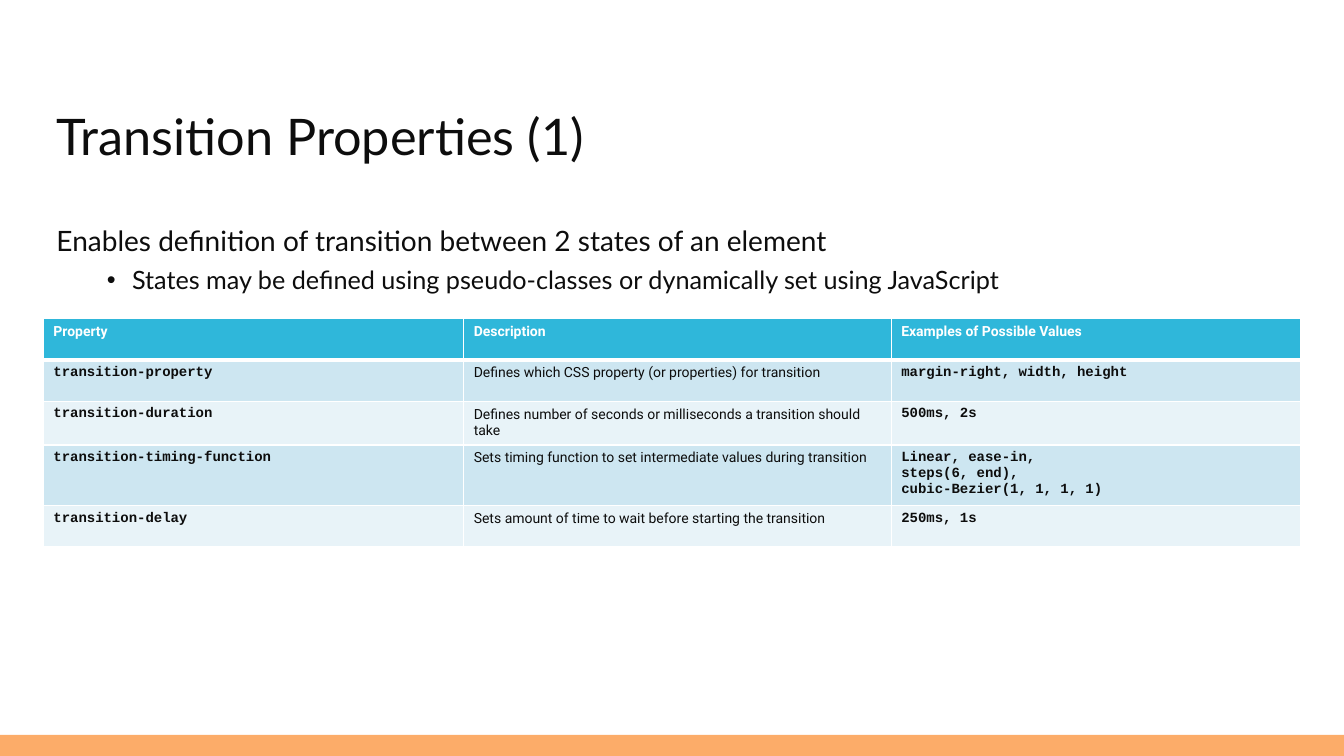
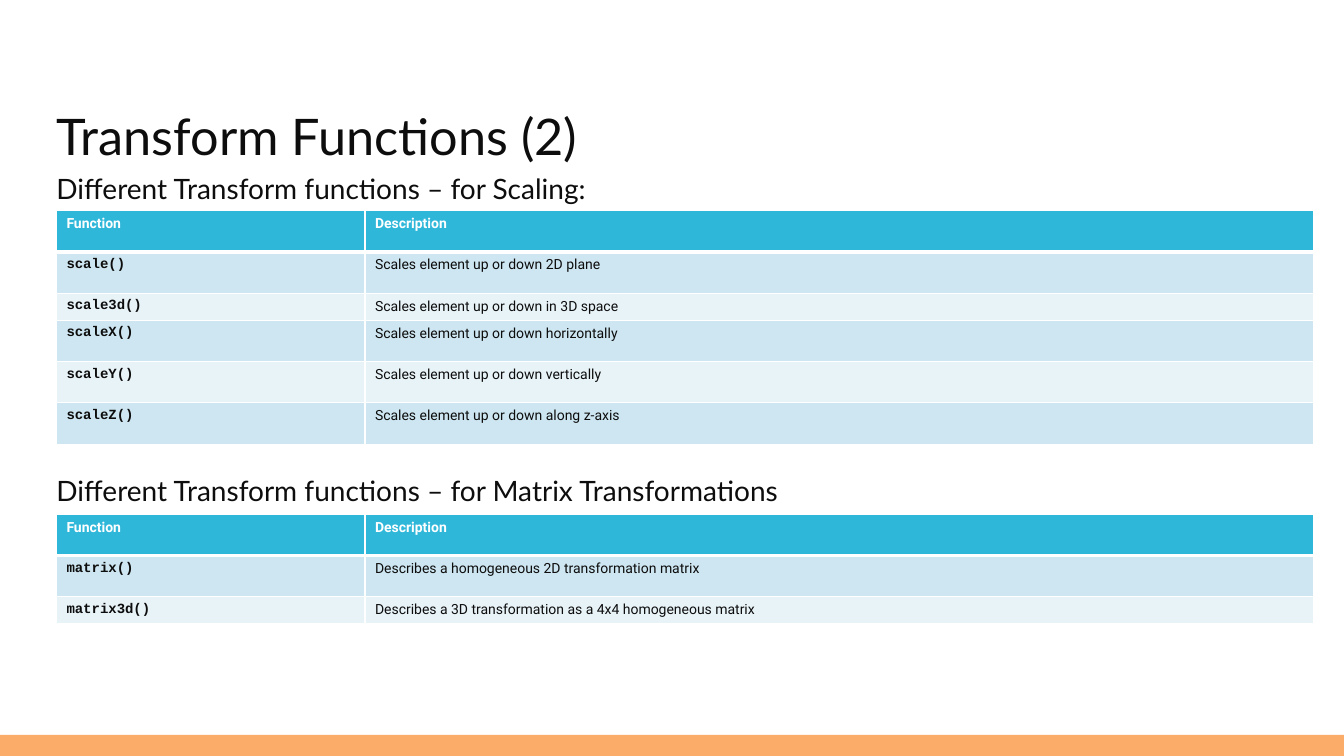
from dataclasses import dataclass

from lxml import etree
from pptx import Presentation
from pptx.dml.color import RGBColor
from pptx.enum.shapes import MSO_SHAPE
from pptx.enum.text import MSO_ANCHOR
from pptx.oxml.ns import qn
from pptx.util import Inches, Pt

RECTANGLE = MSO_SHAPE.RECTANGLE
TOP = MSO_ANCHOR.TOP


@dataclass(frozen=True)
class Theme:
    ink: str = "0D0D0D"
    paper: str = "FFFFFF"
    band: str = "FCAC69"
    header: str = "2FB7DA"
    stripes: tuple = ("CDE6F1", "E8F3F8")
    text_font: str = "Lato"
    table_font: str = "Roboto"
    code_font: str = "Courier New"
    title_size: int = 36
    heading_size: int = 20
    bullet_size: int = 18
    table_size: int = 10
    thin: int = 1
    thick: int = 3


THEME = Theme()
WIDTH, HEIGHT = 13.33, 7.5
MARGIN = 0.56
TEXT_WIDTH = WIDTH - 2 * MARGIN
TITLE_TOP, TITLE_HEIGHT = 1.06, 0.79
BODY_HEIGHT = 4.73
BAND_HEIGHT = 0.21
TABLE_WIDTH = 12.47
ROW, SHORT_ROW = 0.41, 0.2

PROPERTY_ROWS = [
    ("Property", "Description", "Examples of Possible Values"),
    ("transition-property",
     "Defines which CSS property (or properties) for transition",
     "margin-right, width, height"),
    ("transition-duration",
     "Defines number of seconds or milliseconds a transition should take",
     "500ms, 2s"),
    ("transition-timing-function",
     "Sets timing function to set intermediate values during transition",
     "Linear, ease-in, \vsteps(6, end),\ncubic-Bezier(1, 1, 1, 1)"),
    ("transition-delay",
     "Sets amount of time to wait before starting the transition",
     "250ms, 1s"),
]
SCALING_ROWS = [
    ("Function", "Description"),
    ("scale()", "Scales element up or down 2D plane"),
    ("scale3d()", "Scales element up or down in 3D space"),
    ("scaleX()", "Scales element up or down horizontally"),
    ("scaleY()", "Scales element up or down vertically"),
    ("scaleZ()", "Scales element up or down along z-axis"),
]
MATRIX_ROWS = [
    ("Function", "Description"),
    ("matrix()", "Describes a homogeneous 2D transformation matrix"),
    ("matrix3d()", "Describes a 3D transformation as a 4x4 homogeneous matrix"),
]
PROPERTY_COLUMNS = (4.17, 4.24, 4.06)
FUNCTION_COLUMNS = (3.06, 9.41)


def apply(target, values):
    for name, value in values.items():
        setattr(target, name, value)


def style_font(font, color, **values):
    apply(font, values)
    font.color.rgb = RGBColor.from_string(color)


def add_bullet(para, left, hanging):
    properties = para._p.get_or_add_pPr()
    properties.set("marL", str(Inches(left)))
    properties.set("indent", str(-Inches(hanging)))
    etree.SubElement(properties, qn("a:buFont")).set("typeface", "Arial")
    etree.SubElement(properties, qn("a:buChar")).set("char", "•")


def add_text(page, top, height, lines):
    """Write (text, size, space before, bulleted) lines in a full-width box."""
    box = page.shapes.add_textbox(*map(Inches, (MARGIN, top, TEXT_WIDTH, height)))
    frame = box.text_frame
    apply(frame, {"word_wrap": True, "vertical_anchor": TOP,
                  "margin_left": 0, "margin_right": 0})
    frame.text = "\n".join(line[0] for line in lines)
    for para, (_, size, gap, bulleted) in zip(frame.paragraphs, lines):
        if gap:
            para.space_before = Pt(gap)
        if bulleted:
            add_bullet(para, 0.75, 0.25)
        for span in para.runs:
            style_font(span.font, THEME.ink, name=THEME.text_font, size=Pt(size))
    return frame


def add_page(deck, title, body_top, body):
    page = deck.slides.add_slide(deck.slide_layouts[6])
    band = page.shapes.add_shape(
        RECTANGLE, *map(Inches, (0, HEIGHT - BAND_HEIGHT, WIDTH, BAND_HEIGHT)))
    band.shadow.inherit = False
    band.fill.solid()
    band.fill.fore_color.rgb = RGBColor.from_string(THEME.band)
    band.line.fill.background()
    add_text(page, body_top, BODY_HEIGHT, body)
    frame = add_text(page, TITLE_TOP, TITLE_HEIGHT,
                     [(title, THEME.title_size, 0, False)])
    frame.paragraphs[0].line_spacing = 0.9
    return page


def set_borders(cell, widths):
    """Draw the borders, with widths keyed by L, R, T and B in that order."""
    properties = cell._tc.get_or_add_tcPr()
    for index, (side, width) in enumerate(widths.items()):
        line = etree.Element(qn(f"a:ln{side}"), w=str(Pt(width)))
        fill = etree.SubElement(line, qn("a:solidFill"))
        etree.SubElement(fill, qn("a:srgbClr")).set("val", THEME.paper)
        properties.insert(index, line)


def fill_cell(cell, text, row, column):
    is_header = row == 0
    is_code = not is_header and column != 1
    cell.fill.solid()
    cell.fill.fore_color.rgb = RGBColor.from_string(
        THEME.header if is_header else THEME.stripes[(row - 1) % 2])
    set_borders(cell, {"L": THEME.thin, "R": THEME.thin,
                       "T": THEME.thick if row == 1 else THEME.thin,
                       "B": THEME.thick if is_header else THEME.thin})
    cell.text_frame.text = text
    for para in cell.text_frame.paragraphs:
        style_font(para.font, THEME.paper if is_header else THEME.ink,
                   size=Pt(THEME.table_size))
        for span in para.runs:
            style_font(span.font, THEME.paper if is_header else THEME.ink,
                       name=THEME.code_font if is_code else THEME.table_font,
                       size=Pt(THEME.table_size), bold=is_header or is_code)


def add_grid(page, left, top, columns, rows, short_row):
    heights = [SHORT_ROW if index == short_row else ROW
               for index in range(len(rows))]
    table = page.shapes.add_table(
        len(rows), len(columns),
        *map(Inches, (left, top, TABLE_WIDTH, sum(heights)))).table
    for column, share in zip(table.columns, columns):
        column.width = Inches(TABLE_WIDTH * share / sum(columns))
    for row, (height, texts) in enumerate(zip(heights, rows)):
        table.rows[row].height = Inches(height)
        for column, text in enumerate(texts):
            fill_cell(table.cell(row, column), text, row, column)


def add_transition_page(deck):
    page = add_page(deck, "Transition Properties (1)", 2.17, [
        ("Enables definition of transition between 2 states of an element",
         THEME.heading_size, 0, False),
        ("States may be defined using pseudo-classes or dynamically set "
         "using JavaScript", THEME.bullet_size, 5, True),
    ])
    add_grid(page, (WIDTH - TABLE_WIDTH) / 2, 3.16, PROPERTY_COLUMNS,
             PROPERTY_ROWS, short_row=2)


def add_transform_page(deck):
    page = add_page(deck, "Transform Functions (2)", 1.65, [
        ("Different Transform functions – for Scaling:",
         THEME.heading_size, 0, False),
        ("Different Transform functions – for Matrix Transformations",
         THEME.heading_size, 192, False),
    ])
    for top, rows in ((2.09, SCALING_ROWS), (5.1, MATRIX_ROWS)):
        add_grid(page, MARGIN, top, FUNCTION_COLUMNS, rows, short_row=2)


def main():
    deck = Presentation()
    apply(deck, {"slide_width": Inches(WIDTH), "slide_height": Inches(HEIGHT)})
    add_transition_page(deck)
    add_transform_page(deck)
    deck.save("out.pptx")


if __name__ == "__main__":
    main()
